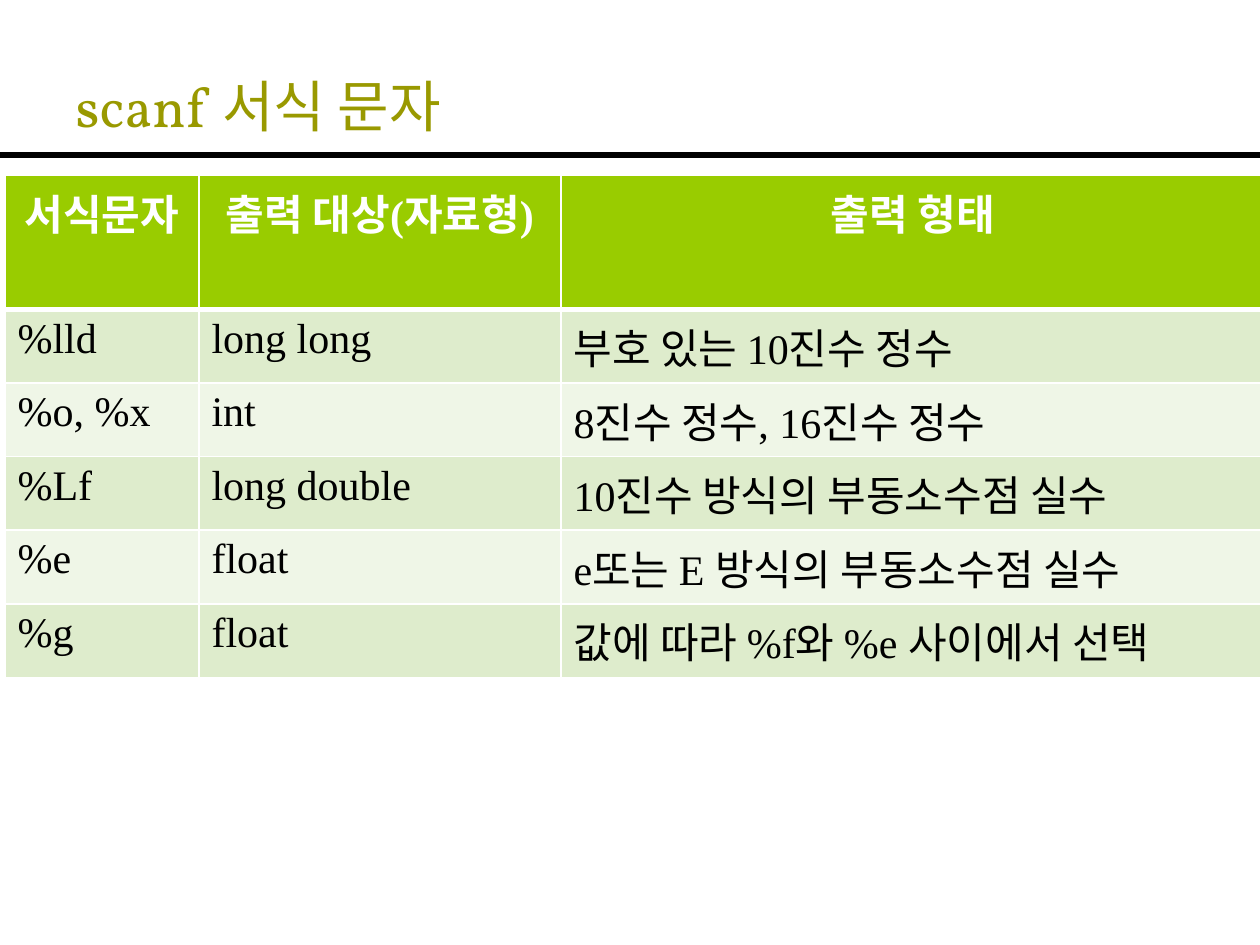
from lxml import etree
from pptx import Presentation
from pptx import util as u
from pptx.dml.color import RGBColor
from pptx.enum import shapes, text
from pptx.oxml import ns

PX_PER_INCH = 126
ROWS = [
    ("서식문자", "출력 대상(자료형)", "출력 형태"),
    ("%lld", "long long", "부호 있는 10진수 정수"),
    ("%o, %x", "int", "8진수 정수, 16진수 정수"),
    ("%Lf", "long double", "10진수 방식의 부동소수점 실수"),
    ("%e", "float", "e또는 E 방식의 부동소수점 실수"),
    ("%g", "float", "값에 따라 %f와 %e 사이에서 선택"),
]


def px(length):
    return u.Emu(round(length * 914400 / PX_PER_INCH))


def color(value):
    return RGBColor.from_string(value)


class SlideBuilder:
    title_font = {"name": "Vollkorn", "size": u.Pt(32), "bold": False}
    body_font = {"name": "Times New Roman", "size": u.Pt(24), "bold": False}
    olive, green, white, black = "999900", "99CC00", "FFFFFF", "000000"
    bands = ("DEECCC", "EFF6E7")

    def __init__(self, deck):
        self.page = deck.slides.add_slide(deck.slide_layouts[5])

    def set_text(self, frame, words, style, ink, align):
        para = frame.paragraphs[0]
        para.alignment = align
        span = para.add_run()
        span.text = words
        for name, value in style.items():
            setattr(span.font, name, value)
        span.font.color.rgb = color(ink)

    def title(self, words, left, top, width, height):
        box = self.page.shapes.title
        place = {"left": left, "top": top, "width": width, "height": height}
        for name, value in place.items():
            setattr(box, name, px(value))
        frame = box.text_frame
        frame.auto_size = text.MSO_AUTO_SIZE.NONE
        frame.vertical_anchor = text.MSO_ANCHOR.BOTTOM
        self.set_text(frame, words, self.title_font, self.olive, text.PP_ALIGN.LEFT)

    def rule(self, left, right, y, points):
        line = self.page.shapes.add_connector(
            shapes.MSO_CONNECTOR.STRAIGHT, px(left), px(y), px(right), px(y))
        line.line.color.rgb = color(self.black)
        line.line.width = u.Pt(points)
        etree.SubElement(line._element.spPr, ns.qn("a:effectLst"))

    def border(self, cell, side, points):
        properties = cell._tc.get_or_add_tcPr()
        edge = etree.SubElement(properties, ns.qn(f"a:ln{side}"), w=str(u.Pt(points)))
        fill = etree.SubElement(edge, ns.qn("a:solidFill"))
        etree.SubElement(fill, ns.qn("a:srgbClr"), val=self.white)

    def table(self, rows, left, top, widths, row_height):
        frame = self.page.shapes.add_table(
            len(rows), len(widths), px(left), px(top),
            px(sum(widths)), px(row_height * len(rows)))
        table = frame.table
        for column, width in zip(table.columns, widths):
            column.width = px(width)
        for r, row in enumerate(rows):
            table.rows[r].height = px(row_height)
            header = r == 0
            fill = self.green if header else self.bands[(r - 1) % 2]
            ink = self.white if header else self.black
            align = text.PP_ALIGN.CENTER if header else text.PP_ALIGN.LEFT
            for c, words in enumerate(row):
                cell = table.cell(r, c)
                # Thick rule between the header and the first row
                edges = {"L": 1, "R": 1, "T": 3 if r == 1 else 1, "B": 3 if header else 1}
                for side, points in edges.items():
                    self.border(cell, side, points)
                cell.fill.solid()
                cell.fill.fore_color.rgb = color(fill)
                style = {**self.body_font, "bold": header}
                self.set_text(cell.text_frame, words, style, ink, align)


def main():
    deck = Presentation()
    deck.slide_width, deck.slide_height = px(1260), px(945)
    slide = SlideBuilder(deck)

    # Heading and the rule under it
    slide.rule(0, 1260, 155, 3)
    slide.title("scanf 서식 문자", 63, 38, 1134, 107)

    # Format specifiers; rows grow to fit their text
    slide.table(ROWS, 5, 175, (194, 362, 704), 52)

    deck.save("out.pptx")


if __name__ == "__main__":
    main()
